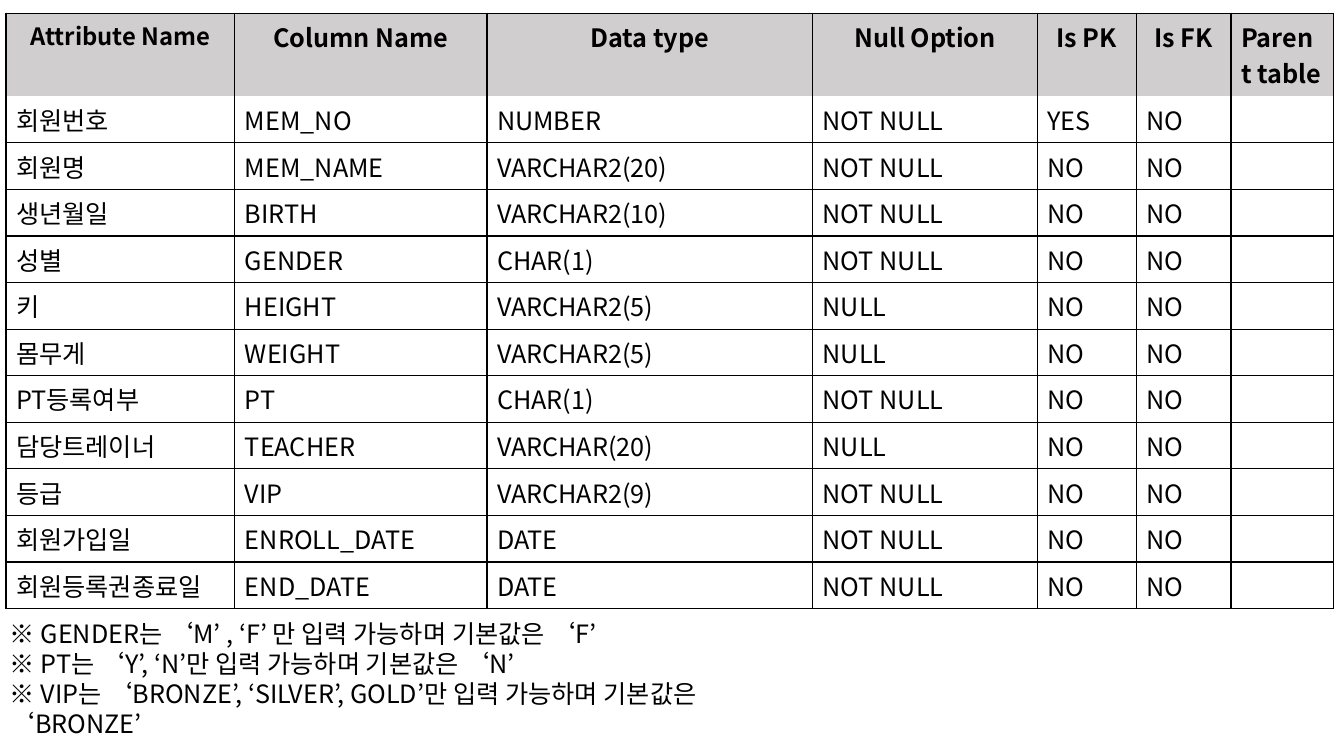
"""Build a slide that defines the columns of the member table."""
from dataclasses import dataclass

from lxml import etree
from pptx import Presentation
from pptx import util as u
from pptx.dml import color
from pptx.enum import text
from pptx.oxml import ns

FONT = "Noto Sans CJK KR"
BLACK, WHITE, GREY = "000000", "FFFFFF", "D0CECE"
HEADERS = ("Attribute Name", "Column Name", "Data type", "Null Option", "Is PK", "Is FK", "Parent table")
COLUMN_WIDTHS = (2.27, 2.5, 3.23, 2.23, 0.98, 0.94, 1.02)
HEADER_HEIGHT, ROW_HEIGHT = 0.63, 0.46
SIDES = ("L", "R", "T", "B")


@dataclass(frozen=True)
class Attribute:
    name: str
    column: str
    data_type: str
    null_option: str = "NOT NULL"
    is_pk: str = "NO"
    is_fk: str = "NO"
    parent: str = ""

    def values(self) -> tuple[str, ...]:
        return (self.name, self.column, self.data_type, self.null_option,
                self.is_pk, self.is_fk, self.parent)


ATTRIBUTES = (
    Attribute("회원번호", "MEM_NO", "NUMBER", is_pk="YES"),
    Attribute("회원명", "MEM_NAME", "VARCHAR2(20)"),
    Attribute("생년월일", "BIRTH", "VARCHAR2(10)"),
    Attribute("성별", "GENDER", "CHAR(1)"),
    Attribute("키", "HEIGHT", "VARCHAR2(5)", "NULL"),
    Attribute("몸무게", "WEIGHT", "VARCHAR2(5)", "NULL"),
    Attribute("PT등록여부", "PT", "CHAR(1)"),
    Attribute("담당트레이너", "TEACHER", "VARCHAR(20)", "NULL"),
    Attribute("등급", "VIP", "VARCHAR2(9)"),
    Attribute("회원가입일", "ENROLL_DATE", "DATE"),
    Attribute("회원등록권종료일", "END_DATE", "DATE"),
)
NOTES = (
    "※ GENDER는 ‘M’ , ‘F’ 만 입력 가능하며 기본값은 ‘F’",
    "※ PT는 ‘Y’, ‘N’만 입력 가능하며 기본값은 ‘N’",
    "※ VIP는 ‘BRONZE’, ‘SILVER’, GOLD’만 입력 가능하며 기본값은 ‘BRONZE’",
)


def rgb(value: str) -> color.RGBColor:
    return color.RGBColor.from_string(value)


def write(paragraph, content: str, size: float = 18, bold: bool = False) -> None:
    run = paragraph.add_run()
    run.text = content
    formats = {"name": FONT, "size": u.Pt(size), "bold": bold}
    for attribute, value in formats.items():
        setattr(run.font, attribute, value)
    run.font.color.rgb = rgb(BLACK)
    east_asian = etree.SubElement(run.font._element, ns.qn("a:ea"))
    east_asian.set("typeface", FONT)


def set_borders(cell, hidden_side: str) -> None:
    properties = cell._tc.get_or_add_tcPr()
    for side in SIDES:
        line = etree.SubElement(properties, ns.qn(f"a:ln{side}"), w=str(u.Pt(1)))
        if side == hidden_side:
            etree.SubElement(line, ns.qn("a:noFill"))
        else:
            fill = etree.SubElement(line, ns.qn("a:solidFill"))
            etree.SubElement(fill, ns.qn("a:srgbClr"), val=BLACK)


def fill_cell(cell, content: str, row: int, column: int) -> None:
    is_header = row == 0
    set_borders(cell, {0: "B", 1: "T"}.get(row, ""))
    cell.fill.solid()
    cell.fill.fore_color.rgb = rgb(GREY if is_header else WHITE)
    paragraph = cell.text_frame.paragraphs[0]
    if is_header and column < len(HEADERS) - 1:
        paragraph.alignment = text.PP_ALIGN.CENTER
    if content:
        write(paragraph, content, 17 if row == column == 0 else 18, is_header)


def add_attribute_table(slide) -> None:
    rows = [HEADERS] + [attribute.values() for attribute in ATTRIBUTES]
    height = HEADER_HEIGHT + ROW_HEIGHT * len(ATTRIBUTES)
    table = slide.shapes.add_table(
        len(rows), len(HEADERS), u.Inches(0.06), u.Inches(0.13),
        u.Inches(sum(COLUMN_WIDTHS)), u.Inches(height)).table
    table.horz_banding = False
    for column, width in zip(table.columns, COLUMN_WIDTHS):
        column.width = u.Inches(width)
    for row, values in enumerate(rows):
        table.rows[row].height = u.Inches(ROW_HEIGHT if row else HEADER_HEIGHT)
        for column, content in enumerate(values):
            fill_cell(table.cell(row, column), content, row, column)


def add_notes(slide) -> None:
    box = slide.shapes.add_textbox(u.Inches(0), u.Inches(6.08), u.Inches(8.36), u.Inches(1.01))
    frame = box.text_frame
    formats = {"word_wrap": False, "auto_size": text.MSO_AUTO_SIZE.SHAPE_TO_FIT_TEXT}
    for attribute, value in formats.items():
        setattr(frame, attribute, value)
    for index, note in enumerate(NOTES):
        write(frame.add_paragraph() if index else frame.paragraphs[0], note)


def main() -> None:
    presentation = Presentation()
    presentation.slide_width = u.Inches(13.33)
    presentation.slide_height = u.Inches(7.5)
    slide = presentation.slides.add_slide(presentation.slide_layouts[6])
    add_attribute_table(slide)
    add_notes(slide)
    presentation.save("out.pptx")


if __name__ == "__main__":
    main()
